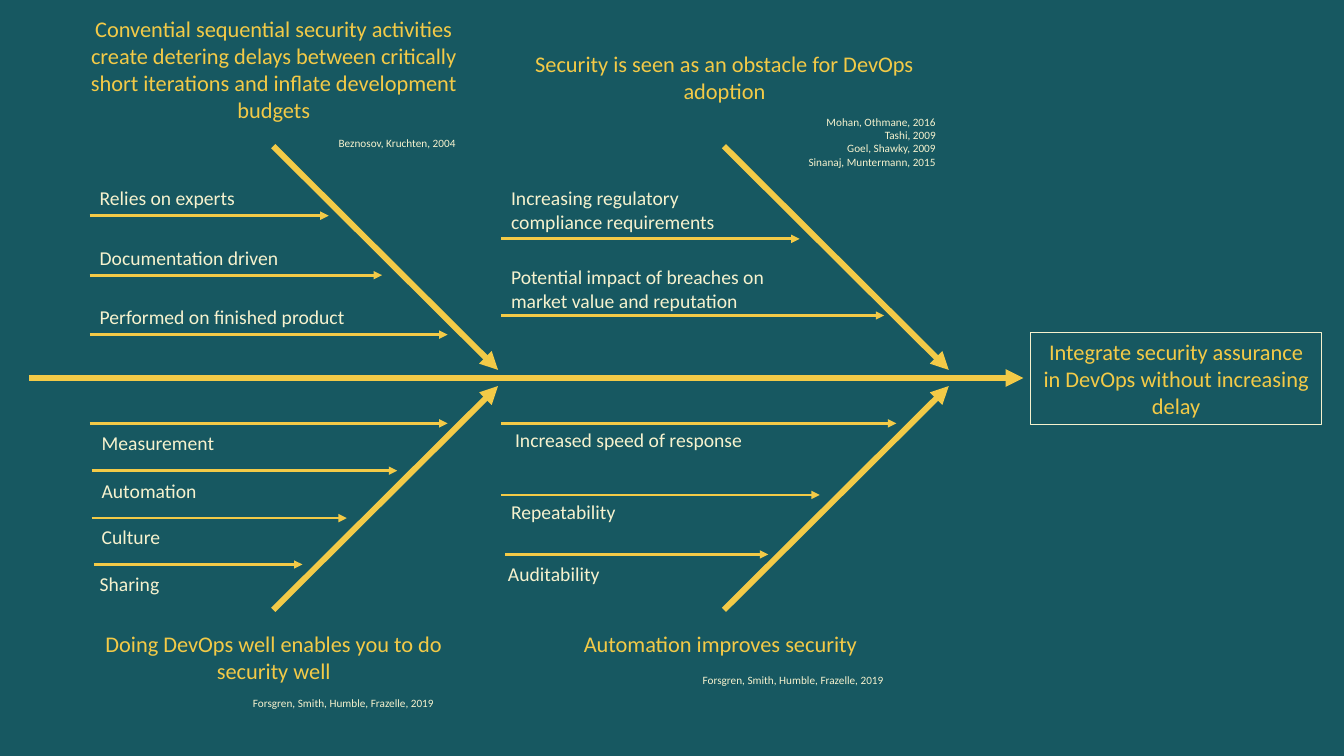
from lxml import etree
from pptx import Presentation
from pptx.dml.color import RGBColor
from pptx.enum.shapes import MSO_CONNECTOR, MSO_SHAPE
from pptx.enum.text import MSO_ANCHOR, PP_ALIGN
from pptx.oxml.ns import qn
from pptx.util import Pt

PX = 9144  # EMU per px, 100 px to the inch
FONT = "Calibri"
COLORS = {"back": "175861", "gold": "F3CA47", "cream": "F6F2CE"}
LEFT, CENTER, RIGHT = PP_ALIGN.LEFT, PP_ALIGN.CENTER, PP_ALIGN.RIGHT
MIDDLE = MSO_ANCHOR.MIDDLE
STRAIGHT = MSO_CONNECTOR.STRAIGHT
RECTANGLE = MSO_SHAPE.RECTANGLE

SPINE_Y = 375
BONE_RUN = 223      # horizontal reach of a bone
BONE_START = 230    # distance from the spine to its outer end
BONE_GAP = 8        # distance from the spine to its tip

# Each branch: bone x, side (-1 above, 1 below), heading and citation as
# (lines, box, alignment), causes as (label, label box, arrow x1, x2, y)
BRANCHES = [
    (271, -1,
     (["Convential sequential security activities create detering delays "
       "between critically short iterations and inflate development budgets"],
      (74, 10, 395, 118), CENTER),
     (["Beznosov, Kruchten, 2004"], (326, 130, 153, 24), LEFT),
     [("Relies on experts", (89, 180, 211, 34), 89, 326, 214),
      ("Documentation driven", (89, 239, 264, 34), 89, 379, 273),
      ("Performed on finished product", (89, 298, 329, 34), 89, 444, 332)]),
    (718, -1,
     (["Security is seen as an obstacle for DevOps adoption"],
      (521, 45, 395, 64), CENTER),
     (["Mohan, Othmane, 2016", "Tashi, 2009", "Goel, Shawky, 2009",
       "Sinanaj, Muntermann, 2015"], (773, 109, 165, 64), RIGHT),
     [("Increasing regulatory compliance requirements",
       (497, 180, 252, 57), 497, 793, 237),
      ("Potential impact of breaches on market value and reputation",
       (497, 258, 329, 57), 497, 877, 313)]),
    (271, 1,
     (["Doing DevOps well enables you to do security well"],
      (74, 620, 395, 64), CENTER),
     (["Forsgren, Smith, Humble, Frazelle, 2019"],
      (241, 686, 225, 24), LEFT),
     [("Measurement", (91, 423, 329, 34), 89, 444, 420),
      ("Automation", (91, 470, 264, 34), 91, 394, 467),
      ("Culture", (91, 516, 234, 34), 91, 344, 514),
      ("Sharing", (89, 562, 192, 34), 93, 300, 560)]),
    (718, 1,
     (["Automation improves security"], (517, 620, 395, 37), CENTER),
     (["Forsgren, Smith, Humble, Frazelle, 2019"],
      (687, 663, 225, 24), LEFT),
     [("Increased speed of response", (501, 420, 376, 34), 497, 889, 420),
      ("Repeatability", (497, 491, 329, 34), 497, 813, 491),
      ("Auditability", (494, 553, 264, 34), 501, 762, 550)]),
]


def rgb(name):
    return RGBColor.from_string(COLORS[name])


def scaled(*lengths):
    return [n * PX for n in lengths]


def write(tf, lines, size, color, align):
    tf.word_wrap = True
    p = tf.paragraphs[0]
    p.alignment = align
    for i, line in enumerate(lines):
        if i:
            p.add_line_break()
        r = p.add_run()
        r.text = line
        r.font.name = FONT
        r.font.size = Pt(size)
        r.font.color.rgb = rgb(color)


def add_text(s, lines, box, size, color, align=LEFT):
    sp = s.shapes.add_textbox(*scaled(*box))
    write(sp.text_frame, lines, size, color, align)


def add_arrow(s, x1, y1, x2, y2, width):
    c = s.shapes.add_connector(STRAIGHT, *scaled(x1, y1, x2, y2))
    c.line.color.rgb = rgb("gold")
    c.line.width = Pt(width)
    ln = c.line._get_or_add_ln()
    etree.SubElement(ln, qn("a:tailEnd"), type="triangle")
    etree.SubElement(c._element.spPr, qn("a:effectLst"))


def add_goal(s, text, box):
    sp = s.shapes.add_shape(RECTANGLE, *scaled(*box))
    sp.shadow.inherit = False
    sp.fill.background()
    sp.line.color.rgb = rgb("cream")
    sp.line.width = Pt(0.75)
    sp.text_frame.vertical_anchor = MIDDLE
    write(sp.text_frame, [text], 16, "gold", CENTER)


def add_branch(s, x, side, heading, citation, causes):
    # Bone
    add_arrow(s, x, SPINE_Y + side * BONE_START,
              x + BONE_RUN, SPINE_Y + side * BONE_GAP, 4.25)
    # Causes
    for label, box, x1, x2, y in causes:
        add_text(s, [label], box, 14, "cream")
        add_arrow(s, x1, y, x2, y, 2)
    # Heading and citation
    for (lines, box, align), size, color in ((heading, 16, "gold"),
                                             (citation, 8, "cream")):
        add_text(s, lines, box, size, color, align)


def main():
    prs = Presentation()
    prs.slide_width, prs.slide_height = scaled(1333, 750)
    s = prs.slides.add_slide(prs.slide_layouts[6])
    s.background.fill.solid()
    s.background.fill.fore_color.rgb = rgb("back")

    # Goal and spine
    add_goal(s, "Integrate security assurance in DevOps without "
                "increasing delay", (1022, 330, 289, 91))
    add_arrow(s, 29, SPINE_Y, 1015, SPINE_Y, 4.25)

    # Branches
    for branch in BRANCHES:
        add_branch(s, *branch)

    prs.save("out.pptx")


if __name__ == "__main__":
    main()
